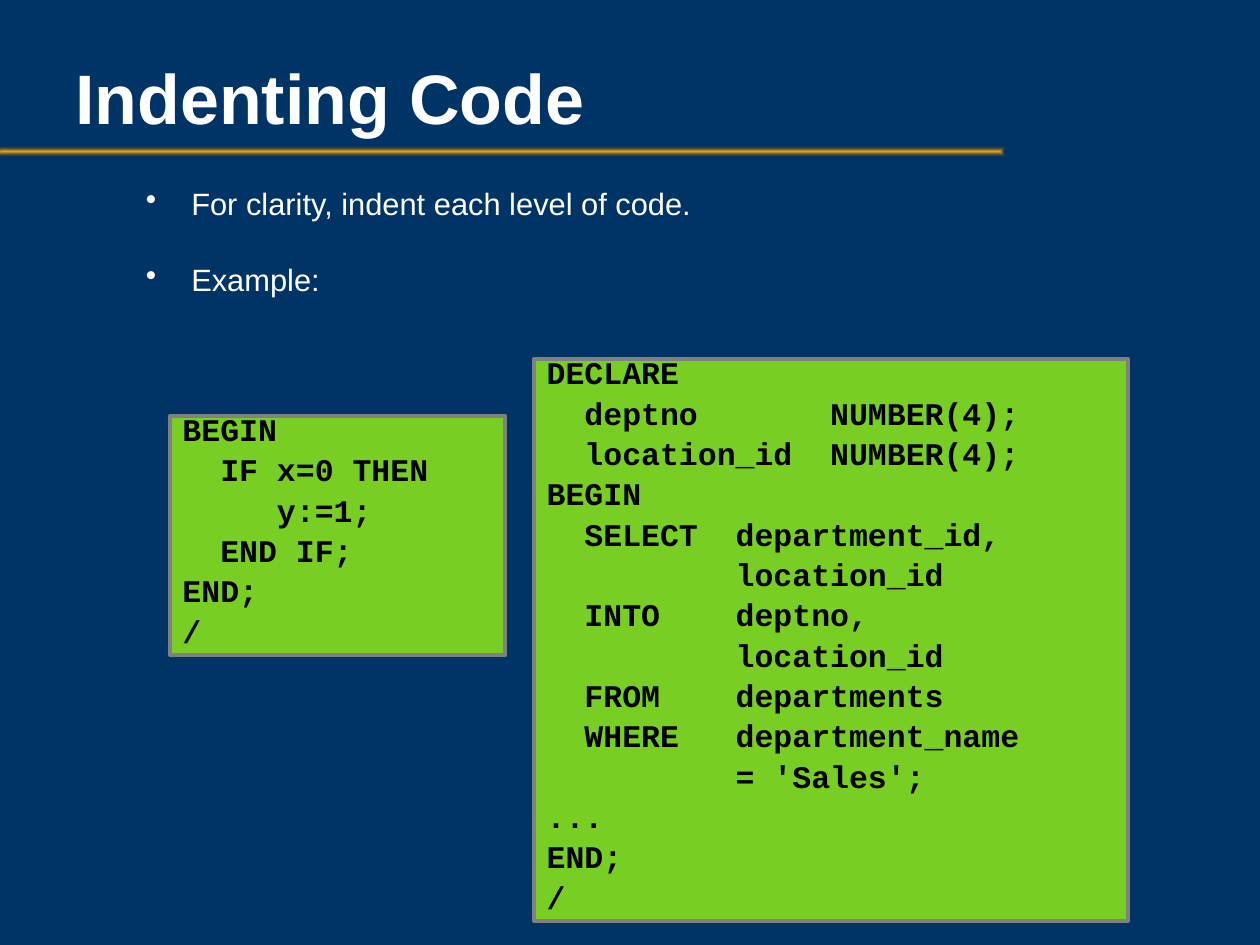
from dataclasses import dataclass
from pptx import Presentation
from pptx.dml.color import RGBColor as Rgb
from pptx.enum.shapes import MSO_SHAPE as Kind
from pptx.enum.text import MSO_ANCHOR as Anchor, PP_ALIGN as Align
from pptx.oxml import parse_xml as to_xml
from pptx.oxml.ns import nsdecls
from pptx.util import Inches, Pt

COLS, ROWS = 100, 75
SHORT = ["BEGIN", "  IF x=0 THEN", "     y:=1;", "  END IF;", "END;", "/"]
LONG = [
    "DECLARE",
    "  deptno       NUMBER(4);",
    "  location_id  NUMBER(4);",
    "BEGIN",
    "  SELECT\tdepartment_id,",
    "         \tlocation_id",
    "  INTO\t\tdeptno,",
    "\t\t\tlocation_id",
    "  FROM\t\tdepartments",
    "  WHERE\tdepartment_name",
    "          = 'Sales';",
    "...",
    "END;",
    "/",
]


@dataclass(frozen=True)
class Theme:
    """Colours, fonts and type sizes of the slide."""
    back: str = "003366"
    ink: str = "FFFFFF"
    gold: str = "FAA712"
    dark: str = "744D08"
    panel: str = "79CE24"
    edge: str = "808080"
    code: str = "000000"
    sans: str = "Arial"
    mono: str = "Courier New"
    head: float = 40
    body: float = 17.6
    small: float = 18


T = Theme()


def color(code):
    """Turn a hex code into a colour."""
    return Rgb.from_string(code)


def cell(box):
    """Turn columns and rows of the grid into slide lengths."""
    x, y, w, h = box
    return [Inches(10 * x / COLS), Inches(7.5 * y / ROWS),
            Inches(10 * w / COLS), Inches(7.5 * h / ROWS)]


def write(frame, lines, size, ink=T.ink, font=T.sans, bold=False, gap=0,
          lead=None, anchor=Anchor.TOP, mark=None, tabs=()):
    """Fill a text frame with one paragraph per line."""
    frame.word_wrap = True
    frame.vertical_anchor = anchor
    for i, line in enumerate(lines):
        para = frame.paragraphs[0] if i == 0 else frame.add_paragraph()
        para.alignment = Align.LEFT
        props = para._p.get_or_add_pPr()
        if mark:
            props.set("marL", str(Inches(0.48)))
            props.set("indent", str(Inches(-0.36)))
            props.append(to_xml(f'<a:buChar {nsdecls("a")} char="{mark}"/>'))
        if tabs:
            stops = "".join(f'<a:tab pos="{Inches(t)}" algn="l"/>' for t in tabs)
            props.append(to_xml(f'<a:tabLst {nsdecls("a")}>{stops}</a:tabLst>'))
        if lead:
            para.line_spacing = lead
        para.space_before = Pt(gap if i else 0)
        run = para.add_run()
        run.text = line
        run.font.size, run.font.name, run.font.bold = Pt(size), font, bold
        run.font.color.rgb = color(ink)


def block(slide, box):
    """Add a plain rectangle without a shadow."""
    shape = slide.shapes.add_shape(Kind.RECTANGLE, *cell(box))
    shape.shadow.inherit = False
    return shape


def title(slide, box, text):
    """Place the slide title."""
    frame = slide.shapes.add_textbox(*cell(box)).text_frame
    write(frame, [text], T.head, bold=True, anchor=Anchor.MIDDLE)


def rule(slide, box):
    """Draw the gold bar that fades towards its edges."""
    bar = block(slide, box)
    bar.line.fill.background()
    bar.fill.gradient()
    grad = bar.fill._fill._gradFill
    grad.getparent().replace(grad, to_xml(
        f'<a:gradFill {nsdecls("a")} rotWithShape="1"><a:gsLst>'
        f'<a:gs pos="0"><a:srgbClr val="{T.gold}"/></a:gs>'
        f'<a:gs pos="100000"><a:srgbClr val="{T.dark}"><a:alpha val="0"/>'
        '</a:srgbClr></a:gs></a:gsLst><a:path path="rect">'
        '<a:fillToRect l="50000" t="50000" r="50000" b="50000"/>'
        '</a:path></a:gradFill>'))


def points(slide, box, lines):
    """Place the bulleted points."""
    frame = slide.shapes.add_textbox(*cell(box)).text_frame
    write(frame, lines, T.body, gap=22, mark="•")


def panel(slide, box, lines, step):
    """Place a code sample on a framed panel with even tab stops."""
    shape = block(slide, box)
    shape.fill.solid()
    shape.fill.fore_color.rgb = color(T.panel)
    shape.line.color.rgb = color(T.edge)
    shape.line.width = Pt(2.25)
    write(shape.text_frame, lines, T.small, ink=T.code, font=T.mono, bold=True,
          gap=9, lead=0.65, tabs=[step * n for n in range(8)])


def main():
    """Build the slide and save it."""
    deck = Presentation()
    deck.slide_width, deck.slide_height = Inches(10), Inches(7.5)
    slide = deck.slides.add_slide(deck.slide_layouts[6])
    slide.background.fill.solid()
    slide.background.fill.fore_color.rgb = color(T.back)
    rule(slide, (-0.3, 11.6, 80, 0.8))
    title(slide, (5, 1.8, 85.8, 11.7), "Indenting Code")
    points(slide, (9.4, 14.2, 80.6, 9.6),
           ["For clarity, indent each level of code.", "Example:"])
    panel(slide, (13.5, 33, 26.6, 19), SHORT, 1)
    panel(slide, (42.4, 28.5, 47.1, 44.6), LONG, 0.5)
    deck.save("out.pptx")


if __name__ == "__main__":
    main()
